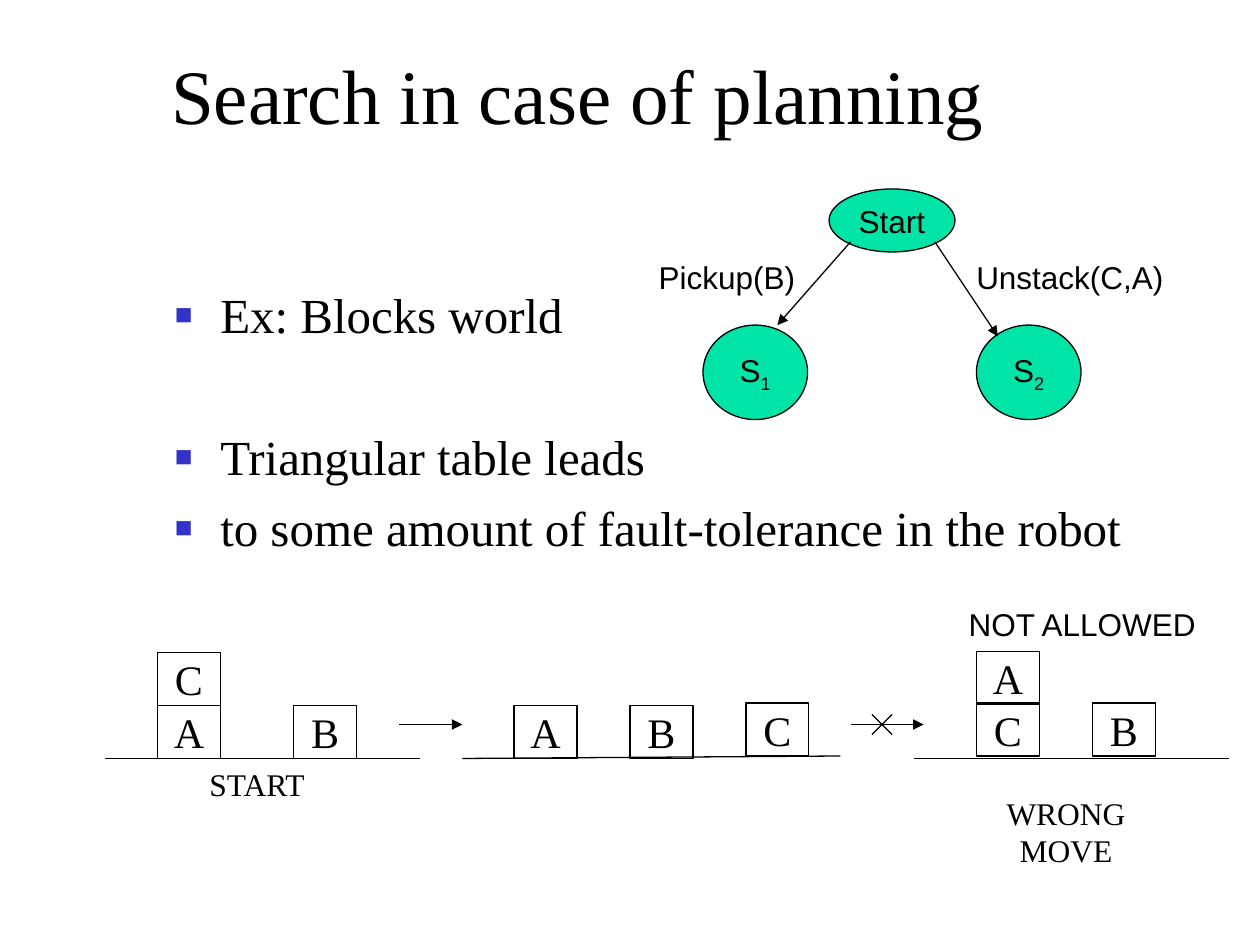
"""Build the slide on search in planning with the blocks world example."""
from dataclasses import dataclass

from lxml import etree
from pptx import Presentation
from pptx.dml.color import RGBColor
from pptx.enum.shapes import MSO_CONNECTOR, MSO_SHAPE
from pptx.enum.text import MSO_ANCHOR, PP_ALIGN
from pptx.oxml.ns import qn
from pptx.util import Inches, Pt

LEFT, CENTER = PP_ALIGN.LEFT, PP_ALIGN.CENTER
TOP, MIDDLE, BOTTOM = MSO_ANCHOR.TOP, MSO_ANCHOR.MIDDLE, MSO_ANCHOR.BOTTOM
OVAL, RECTANGLE = MSO_SHAPE.OVAL, MSO_SHAPE.RECTANGLE
STRAIGHT = MSO_CONNECTOR.STRAIGHT


@dataclass(frozen=True)
class Theme:
    ink: RGBColor = RGBColor(0, 0, 0)
    node: RGBColor = RGBColor(0x00, 0xE4, 0xA8)
    bullet: str = "3333CC"
    serif: str = "Times New Roman"
    sans: str = "Arial"
    title: int = 44
    body: int = 28
    block: int = 24
    label: int = 18
    line: float = 0.75


theme = Theme()
deck = Presentation()
deck.slide_width, deck.slide_height = Inches(10), Inches(7.5)
page = deck.slides.add_slide(deck.slide_layouts[6])


def write(box, text, size, font, align=LEFT, anchor=TOP, wrap=False):
    frame = box.text_frame
    frame.word_wrap = wrap
    frame.vertical_anchor = anchor
    para = frame.paragraphs[0]
    para.alignment = align
    span = para.add_run()
    span.text = text
    span.font.size = Pt(size)
    span.font.name = font
    span.font.color.rgb = theme.ink
    return para


def draw_line(x1, y1, x2, y2, arrow=False):
    line = page.shapes.add_connector(
        STRAIGHT, Inches(x1), Inches(y1), Inches(x2), Inches(y2))
    line.line.color.rgb = theme.ink
    line.line.width = Pt(theme.line)
    if arrow:
        etree.SubElement(line.line._get_or_add_ln(), qn("a:tailEnd"), type="triangle")
    etree.SubElement(line._element.spPr, qn("a:effectLst"))


title = page.shapes.add_textbox(Inches(1.26), Inches(0.23), Inches(8.52), Inches(0.93))
write(title, "Search in case of planning", theme.title, theme.serif, anchor=BOTTOM, wrap=True)

body = page.shapes.add_textbox(Inches(1.29), Inches(2.21), Inches(8.5), Inches(4.47))
body.text_frame.word_wrap = True
bullets = [
    ("Ex: Blocks world", 7),
    ("Triangular table leads", 47.5),
    ("to some amount of fault-tolerance in the robot", 7),
]
for index, (text, gap) in enumerate(bullets):
    para = body.text_frame.add_paragraph() if index else body.text_frame.paragraphs[0]
    para.space_before = Pt(gap)
    span = para.add_run()
    span.text = text
    span.font.size = Pt(theme.body)
    span.font.name = theme.serif
    span.font.color.rgb = theme.ink
    settings = para._p.get_or_add_pPr()
    settings.set("marL", str(Inches(0.36)))
    settings.set("indent", str(Inches(-0.36)))
    colour = etree.SubElement(settings, qn("a:buClr"))
    etree.SubElement(colour, qn("a:srgbClr"), val=theme.bullet)
    etree.SubElement(settings, qn("a:buSzPct"), val="60000")
    etree.SubElement(settings, qn("a:buFont"), typeface=theme.sans)
    etree.SubElement(settings, qn("a:buChar"), char="■")

nodes = [
    ("Start", "", 6.58, 1.5, 1, 0.5),
    ("S", "1", 5.58, 2.58, 0.83, 0.75),
    ("S", "2", 7.75, 2.58, 0.83, 0.75),
]
for name, subscript, x, y, width, height in nodes:
    node = page.shapes.add_shape(OVAL, Inches(x), Inches(y), Inches(width), Inches(height))
    node.shadow.inherit = False
    node.fill.solid()
    node.fill.fore_color.rgb = theme.node
    node.line.color.rgb = theme.ink
    node.line.width = Pt(theme.line)
    para = write(node, name, theme.label, theme.sans, CENTER, MIDDLE)
    if subscript:
        span = para.add_run()
        span.text = subscript
        span.font.size = Pt(theme.label)
        span.font.name = theme.sans
        span.font.color.rgb = theme.ink
        span.font._element.set("baseline", "-25000")

blocks = [
    ("A", 1.25, 5.6), ("C", 1.25, 5.18), ("B", 2.33, 5.6),
    ("A", 4.08, 5.6), ("B", 5, 5.6), ("C", 5.92, 5.58),
    ("A", 7.75, 5.17), ("C", 7.75, 5.58), ("B", 8.67, 5.58),
]
for name, x, y in blocks:
    block = page.shapes.add_shape(RECTANGLE, Inches(x), Inches(y), Inches(0.5), Inches(0.42))
    block.shadow.inherit = False
    block.fill.background()
    block.line.color.rgb = theme.ink
    block.line.width = Pt(theme.line)
    write(block, name, theme.block, theme.serif, CENTER, MIDDLE)

arrows = [
    (6.75, 1.92, 6.17, 2.58), (7.42, 1.92, 7.92, 2.67),
    (3.17, 5.75, 3.67, 5.75), (6.75, 5.75, 7.33, 5.75),
]
for ends in arrows:
    draw_line(*ends, arrow=True)

tables = [(0.83, 6.02, 3.33, 6.02), (3.67, 6.02, 6.67, 6), (7.25, 6.02, 9.75, 6.02)]
cross = [(6.92, 5.67, 7.08, 5.83), (7.08, 5.67, 6.92, 5.83)]
for ends in tables + cross:
    draw_line(*ends)

labels = [
    ("Pickup(B)", 5.13, 2, 1.36, 0.4, theme.sans, LEFT, False),
    ("Unstack(C,A)", 7.65, 2, 1.76, 0.4, theme.sans, LEFT, False),
    ("NOT ALLOWED", 7.59, 4.75, 2.1, 0.4, theme.sans, LEFT, False),
    ("START", 1.33, 6.02, 1.42, 0.4, theme.serif, CENTER, True),
    ("WRONG MOVE", 7.75, 6.25, 1.42, 0.7, theme.serif, CENTER, True),
]
for text, x, y, width, height, font, align, wrap in labels:
    label = page.shapes.add_textbox(Inches(x), Inches(y), Inches(width), Inches(height))
    write(label, text, theme.label, font, align, wrap=wrap)

deck.save("out.pptx")
